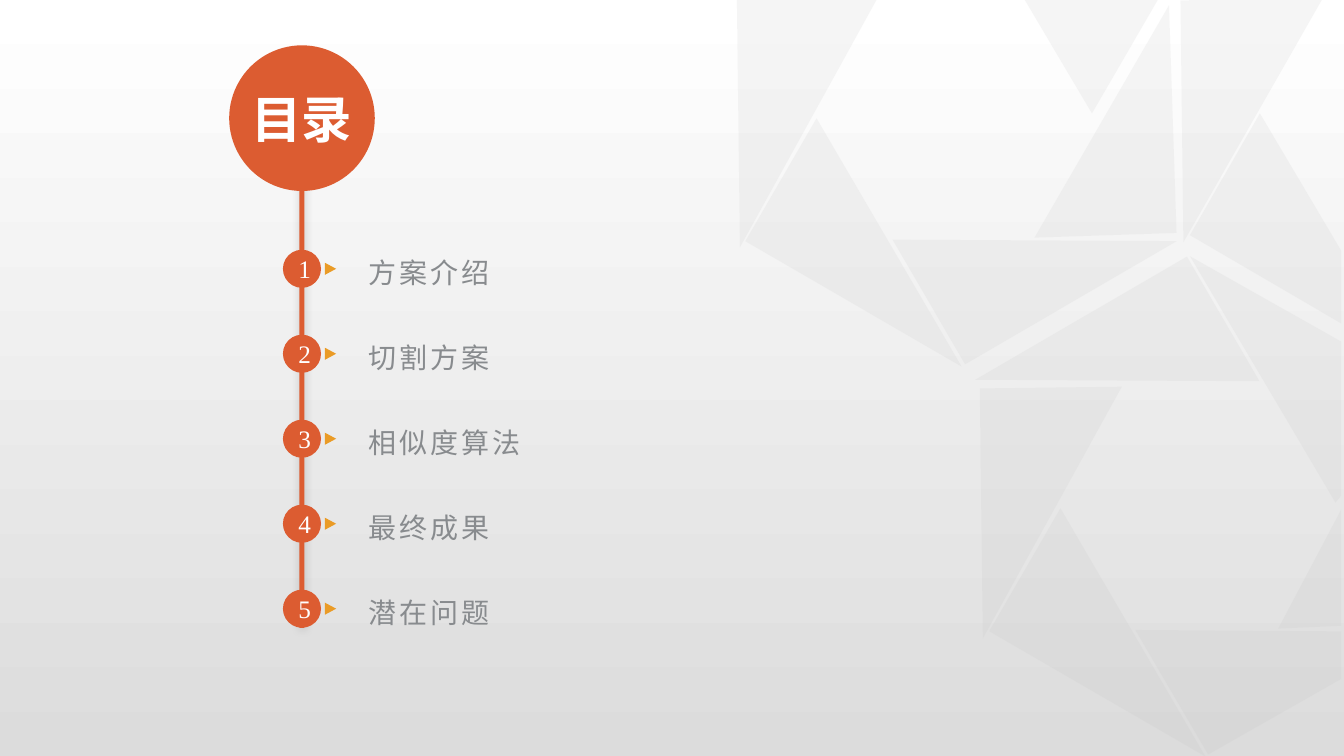
import pptx
import pptx.util
import pptx.dml.color
import pptx.enum.shapes
import pptx.enum.text
import pptx.oxml.ns
import lxml.etree

Pt = pptx.util.Pt
RGB = pptx.dml.color.RGBColor
SHAPE = pptx.enum.shapes.MSO_SHAPE
ALIGN = pptx.enum.text.PP_ALIGN
ANCHOR = pptx.enum.text.MSO_ANCHOR
qn = pptx.oxml.ns.qn

ORANGE = RGB(0xDC, 0x5C, 0x31)
AMBER = RGB(0xEA, 0x9B, 0x26)
GRAY = RGB(0x88, 0x8B, 0x8E)
FACET = RGB(0xBF, 0xBF, 0xBF)
SILVER = RGB(0xDC, 0xDC, 0xDC)
WHITE = RGB(0xFF, 0xFF, 0xFF)
SANS = "Noto Sans CJK SC"
SERIF = "Times New Roman"

TOPICS = ["方案介绍", "切割方案", "相似度算法", "最终成果", "潜在问题"]
TRIANGLES = [
    (710.6, 220.3, 175, 103, 149.8),
    (662.4, 315.4, 178.6, 101.5, 89.3),
    (720, 401, 178.6, 101.5, 30.1),
    (808.6, 35.3, 172.8, 101.5, 89.3),
    (488.9, 36, 178.6, 101.5, 89.3),
    (545.8, 122.4, 178.6, 101.5, 30.1),
    (651.6, 120.2, 175, 103, 329.8),
    (705.6, 36, 162.7, 101.5, 268.1),
]
POLYGONS = [
    [(811.4, 450), (957.6, 450.7), (957.6, 484.6), (863.3, 539.3)],
    [(957.6, 364.3), (957.6, 447.1), (913, 448.6)],
    [(850.3, 182.9), (957.6, 244.1), (957.6, 353.5), (954, 359.3)],
    [(900, 80.6), (957.6, 178.6), (957.6, 231.1), (849.6, 168.5)],
    [(732.3, 0), (826.6, 0), (780.5, 80.6)],
]


def paint(sp, color, alpha=None):
    sp.shadow.inherit = False
    sp.fill.solid()
    sp.fill.fore_color.rgb = color
    sp.line.fill.background()
    if alpha:
        clr = sp.element.spPr.find(".//" + qn("a:srgbClr"))
        lxml.etree.SubElement(clr, qn("a:alpha"), val=str(alpha * 1000))
    return sp


def add_shape(s, kind, x, y, w, h, color, alpha=None, rotation=0):
    sp = s.shapes.add_shape(kind, Pt(x), Pt(y), Pt(w), Pt(h))
    sp.rotation = rotation
    return paint(sp, color, alpha)


def add_text(p, text, size, color, font, bold=False, align=ALIGN.LEFT, spacing=0):
    p.alignment = align
    r = p.add_run()
    r.text = text
    r.font.size = Pt(size)
    r.font.bold = bold
    r.font.color.rgb = color
    r.font.name = font
    rPr = r.font._element
    lxml.etree.SubElement(rPr, qn("a:ea"), typeface=font)
    if spacing:
        rPr.set("spc", str(spacing * 100))


def place(sp, x, y, w, h, anchor):
    sp.left, sp.top, sp.width, sp.height = Pt(x), Pt(y), Pt(w), Pt(h)
    tf = sp.text_frame
    tf.auto_size = pptx.enum.text.MSO_AUTO_SIZE.NONE
    tf.vertical_anchor = anchor
    tf.margin_left = tf.margin_top = tf.margin_right = tf.margin_bottom = 0
    return tf


def add_glow(sp):
    effects = sp.element.spPr.find(qn("a:effectLst"))
    glow = lxml.etree.SubElement(effects, qn("a:outerShdw"), blurRad=str(Pt(6)),
                                 dist="0", dir="13500000", rotWithShape="0")
    clr = lxml.etree.SubElement(glow, qn("a:srgbClr"), val="000000")
    lxml.etree.SubElement(clr, qn("a:alpha"), val="20000")


def backdrop(s, x, y):
    fill = s.background.fill
    fill.gradient()
    fill.gradient_angle = 90
    for stop, color, position in zip(fill.gradient_stops, (SILVER, WHITE), (0, 1)):
        stop.color.rgb = color
        stop.position = position
    for dx, dy, w, h, rotation in TRIANGLES:
        add_shape(s, SHAPE.RIGHT_TRIANGLE, x + dx, y + dy, w, h, FACET, 14, rotation)
    for polygon in POLYGONS:
        points = [(x + dx, y + dy) for dx, dy in polygon]
        builder = s.shapes.build_freeform(*points[0], scale=float(Pt(1)))
        builder.add_line_segments(points[1:], close=True)
        paint(builder.convert_to_shape(), FACET, 14)


def heading(s, x, y, size):
    add_shape(s, SHAPE.OVAL, x, y, size, size, ORANGE)
    title = s.shapes.title
    title.element.getparent().append(title.element)
    tf = place(title, x, y, size, size, ANCHOR.MIDDLE)
    add_text(tf.paragraphs[0], "目录", 36, WHITE, SANS, bold=True, align=ALIGN.CENTER)


def topic_list(s, x, y, w, pitch, dot=27.2, line=29):
    tf = place(s.placeholders[1], x + 61.4, y + (dot - line) / 2, w - 61.4,
               line + pitch * (len(TOPICS) - 1), ANCHOR.TOP)
    for i, topic in enumerate(TOPICS):
        top = y + i * pitch
        sp = add_shape(s, SHAPE.OVAL, x, top, dot, dot, ORANGE)
        add_text(sp.text_frame.paragraphs[0], str(i + 1), 18, WHITE, SERIF,
                 align=ALIGN.CENTER)
        add_shape(s, SHAPE.ISOSCELES_TRIANGLE, x + 29.7, top + dot / 2 - 4, 8.6, 8,
                  AMBER, rotation=90)
        p = tf.paragraphs[0] if i == 0 else tf.add_paragraph()
        p.line_spacing = Pt(line)
        p.space_before = Pt(pitch - line if i else 0)
        pPr = p._p.get_or_add_pPr()
        pPr.set("marL", "0")
        pPr.set("indent", "0")
        lxml.etree.SubElement(pPr, qn("a:buNone"))
        add_text(p, topic, 20, GRAY, SANS, spacing=2)


def contents(s, x, y):
    stem = add_shape(s, SHAPE.RECTANGLE, x + 50.2, y + 62.6, 3.6, 353.6, ORANGE)
    add_glow(stem)
    heading(s, x, y, 104)
    topic_list(s, x + 38.4, y + 146, 482, 60.7)


prs = pptx.Presentation()
prs.slide_width, prs.slide_height = Pt(960), Pt(540)
s = prs.slides.add_slide(prs.slide_layouts[1])
backdrop(s, 0, 0)
contents(s, 163.7, 32.4)
prs.save("out.pptx")
